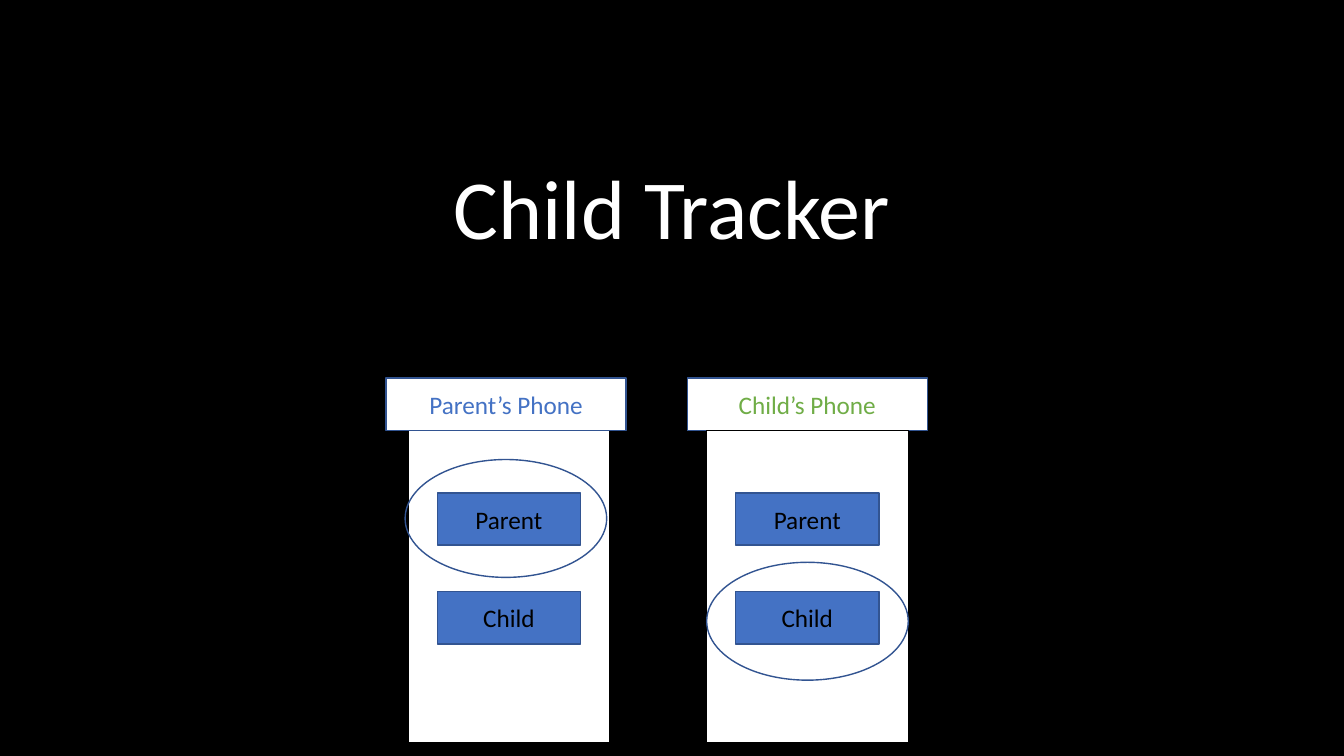
"""Build the Child Tracker title slide with its two phone mock-ups."""
from dataclasses import dataclass

from pptx import Presentation
from pptx.dml.color import RGBColor
from pptx.enum.shapes import MSO_SHAPE
from pptx.enum.text import MSO_ANCHOR, PP_ALIGN
from pptx.shapes.autoshape import Shape
from pptx.slide import Slide
from pptx.text.text import TextFrame
from pptx.util import Cm, Pt

COLORS = {
    "black": "000000",
    "white": "FFFFFF",
    "blue": "4472C4",
    "outline": "325491",
    "green": "70AD47",
}
BODY_TOP, BODY_W, BODY_H = 10.85, 5.08, 7.87
LABEL_TOP, LABEL_W = 9.53, 6.05
BUTTON_INSET, BUTTON_W = 0.73, 3.61
BUTTON_TOPS = {"Parent": 12.42, "Child": 14.91}
ROW_H = 1.32
RING_H = 2.97


@dataclass(frozen=True)
class Phone:
    owner: str
    color: str
    left: float
    label_left: float
    label_in_front: bool
    ring_left: float
    ring_top: float


PHONES = [
    Phone("Parent", "blue", 10.29, 9.73, True, 10.21, 11.58),
    Phone("Child", "green", 17.81, 17.32, False, 17.81, 14.17),
]


def rgb(name: str) -> RGBColor:
    return RGBColor.from_string(COLORS[name])


def write(tf: TextFrame, text: str, size: float, color: str) -> None:
    tf.word_wrap = True
    tf.text = text
    p = tf.paragraphs[0]
    p.alignment = PP_ALIGN.CENTER
    r = p.runs[0]
    r.font.name = "Calibri"
    r.font.size = Pt(size)
    r.font.color.rgb = rgb(color)


def add_box(s: Slide, kind: MSO_SHAPE, left: float, top: float, width: float,
            height: float, fill: str | None, line: str = "outline") -> Shape:
    sp = s.shapes.add_shape(kind, Cm(left), Cm(top), Cm(width), Cm(height))
    sp.shadow.inherit = False
    if fill:
        sp.fill.solid()
        sp.fill.fore_color.rgb = rgb(fill)
    else:
        sp.fill.background()
    sp.line.color.rgb = rgb(line)
    sp.line.width = Pt(1)
    return sp


def add_caption(s: Slide, left: float, top: float, width: float,
                fill: str, text: str, color: str) -> None:
    sp = add_box(s, MSO_SHAPE.RECTANGLE, left, top, width, ROW_H, fill)
    sp.text_frame.vertical_anchor = MSO_ANCHOR.MIDDLE
    write(sp.text_frame, text, 18, color)


def add_label(s: Slide, phone: Phone) -> None:
    add_caption(s, phone.label_left, LABEL_TOP, LABEL_W, "white",
                f"{phone.owner}’s Phone", phone.color)


def add_phone(s: Slide, phone: Phone) -> None:
    if not phone.label_in_front:
        add_label(s, phone)
    add_box(s, MSO_SHAPE.RECTANGLE, phone.left, BODY_TOP, BODY_W, BODY_H,
            "white", "black")
    if phone.label_in_front:
        add_label(s, phone)
    for text, top in BUTTON_TOPS.items():
        add_caption(s, phone.left + BUTTON_INSET, top, BUTTON_W, "blue",
                    text, "black")
    add_box(s, MSO_SHAPE.OVAL, phone.ring_left, phone.ring_top, BODY_W,
            RING_H, None)


def add_title(s: Slide, text: str) -> None:
    sp = s.shapes.add_textbox(Cm(4.23), Cm(3.12), Cm(25.4), Cm(3.5))
    tf = sp.text_frame
    tf.vertical_anchor = MSO_ANCHOR.BOTTOM
    write(tf, text, 60, "white")
    tf.paragraphs[0].line_spacing = 0.9


def main() -> None:
    prs = Presentation()
    prs.slide_width = Cm(33.87)
    prs.slide_height = Cm(19.05)
    s = prs.slides.add_slide(prs.slide_layouts[6])
    s.background.fill.solid()
    s.background.fill.fore_color.rgb = rgb("black")
    add_title(s, "Child Tracker")
    for phone in PHONES:
        add_phone(s, phone)
    prs.save("out.pptx")


if __name__ == "__main__":
    main()
